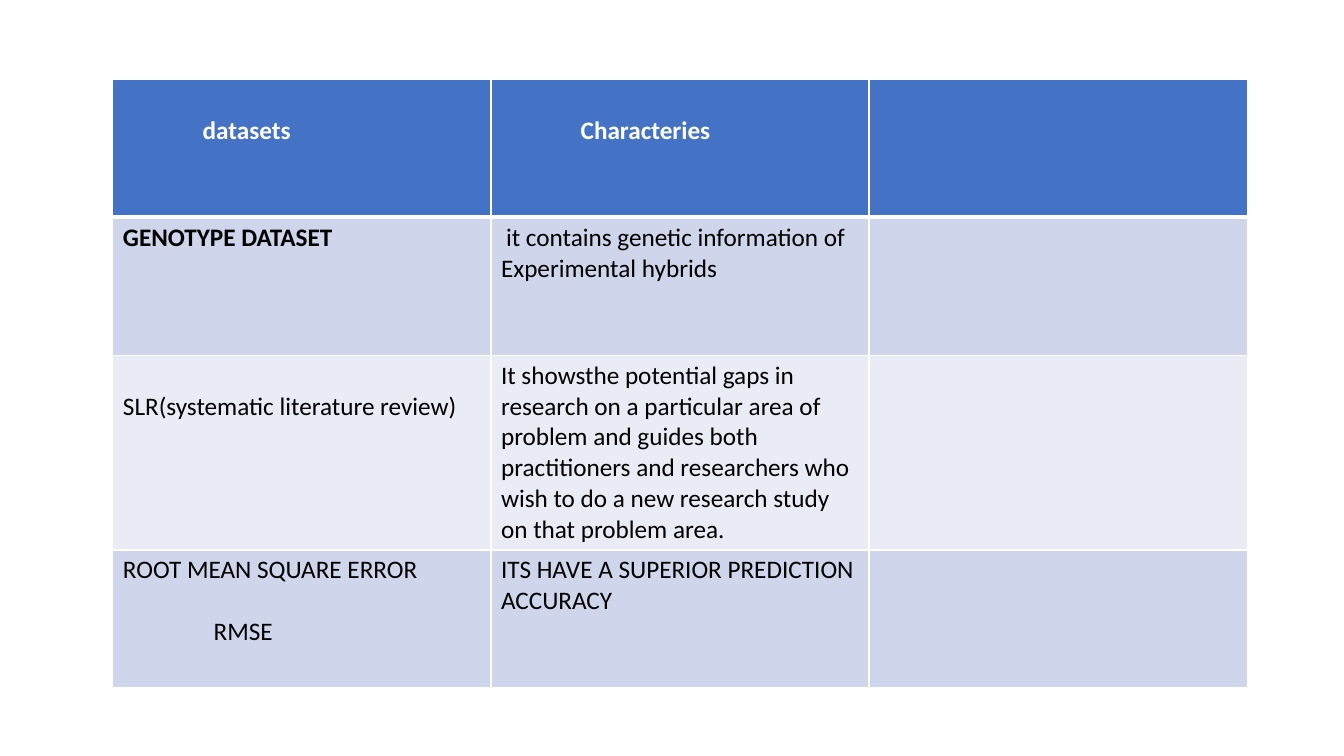
from dataclasses import dataclass

from lxml import etree
from pptx import Presentation
from pptx.dml.color import RGBColor
from pptx.oxml.ns import qn
from pptx.table import _Cell
from pptx.text.text import _Paragraph
from pptx.util import Inches, Pt


@dataclass(frozen=True)
class Theme:
    font: str = "Calibri"
    size: float = 18
    line_height: float = 22
    header_fill: str = "4472C4"
    bands: tuple[str, str] = ("CFD5EA", "E9EBF5")
    header_text: str = "FFFFFF"
    body_text: str = "000000"
    border: str = "FFFFFF"
    thin: float = 1
    thick: float = 3


@dataclass(frozen=True)
class Line:
    text: str
    indent: float = 0  # inches
    lines_above: int = 0


@dataclass(frozen=True)
class Entry:
    lines: tuple[Line, ...] = ()
    lines_above: int = 0
    bold: bool = False


THEME = Theme()
HEADER_INDENT = 0.79

# Table content, header first
ROWS: list[list[Entry]] = [
    [Entry((Line("datasets", HEADER_INDENT),), lines_above=1, bold=True),
     Entry((Line("Characteries", HEADER_INDENT),), lines_above=1, bold=True),
     Entry()],
    [Entry((Line("GENOTYPE DATASET"),), bold=True),
     Entry((Line("it contains genetic information of", 0.05),
            Line("Experimental hybrids"))),
     Entry()],
    [Entry((Line("SLR(systematic literature review)"),), lines_above=1),
     Entry((Line("It showsthe potential gaps in research on a particular area "
                 "of problem and guides both practitioners and researchers who "
                 "wish to do a new research study on that problem area."),)),
     Entry()],
    [Entry((Line("ROOT MEAN SQUARE ERROR"),
            Line("RMSE", indent=0.9, lines_above=1))),
     Entry((Line("ITS HAVE A SUPERIOR PREDICTION ACCURACY"),)),
     Entry()],
]


def write_line(paragraph: _Paragraph, line: Line, bold: bool, color: str) -> None:
    paragraph.space_before = Pt(line.lines_above * THEME.line_height)
    paragraph._p.get_or_add_pPr().set("marL", str(Inches(line.indent)))
    run = paragraph.add_run()
    run.text = line.text
    run.font.name = THEME.font
    run.font.size = Pt(THEME.size)
    run.font.bold = bold
    run.font.color.rgb = RGBColor.from_string(color)


def draw_borders(cell: _Cell, top: float, bottom: float) -> None:
    widths = {"lnL": THEME.thin, "lnR": THEME.thin, "lnT": top, "lnB": bottom}
    properties = cell._tc.get_or_add_tcPr()
    for position, (side, width) in enumerate(widths.items()):
        border = etree.Element(qn(f"a:{side}"), w=str(Pt(width)))
        fill = etree.SubElement(border, qn("a:solidFill"))
        etree.SubElement(fill, qn("a:srgbClr"), val=THEME.border)
        properties.insert(position, border)


def fill_cell(cell: _Cell, entry: Entry, row: int) -> None:
    header = row == 0
    background = THEME.header_fill if header else THEME.bands[(row - 1) % 2]
    cell.fill.solid()
    cell.fill.fore_color.rgb = RGBColor.from_string(background)
    draw_borders(cell,
                 top=THEME.thick if row == 1 else THEME.thin,
                 bottom=THEME.thick if header else THEME.thin)
    cell.margin_top = Inches(0.05) + Pt(entry.lines_above * THEME.line_height)
    frame = cell.text_frame
    color = THEME.header_text if header else THEME.body_text
    for index, line in enumerate(entry.lines):
        paragraph = frame.add_paragraph() if index else frame.paragraphs[0]
        write_line(paragraph, line, entry.bold, color)


# Slide
deck = Presentation()
deck.slide_width, deck.slide_height = Inches(13.33), Inches(7.5)
slide = deck.slides.add_slide(deck.slide_layouts[6])

# Table grid, as shares of the slide
left, width = round(deck.slide_width * 0.084), round(deck.slide_width * 0.844)
top, row_height = round(deck.slide_height * 0.105), round(deck.slide_height * 0.1825)
table = slide.shapes.add_table(len(ROWS), len(ROWS[0]), left, top,
                               width, row_height * len(ROWS)).table

for row, entries in enumerate(ROWS):
    table.rows[row].height = row_height
    for column, entry in enumerate(entries):
        fill_cell(table.cell(row, column), entry, row)

deck.save("out.pptx")
